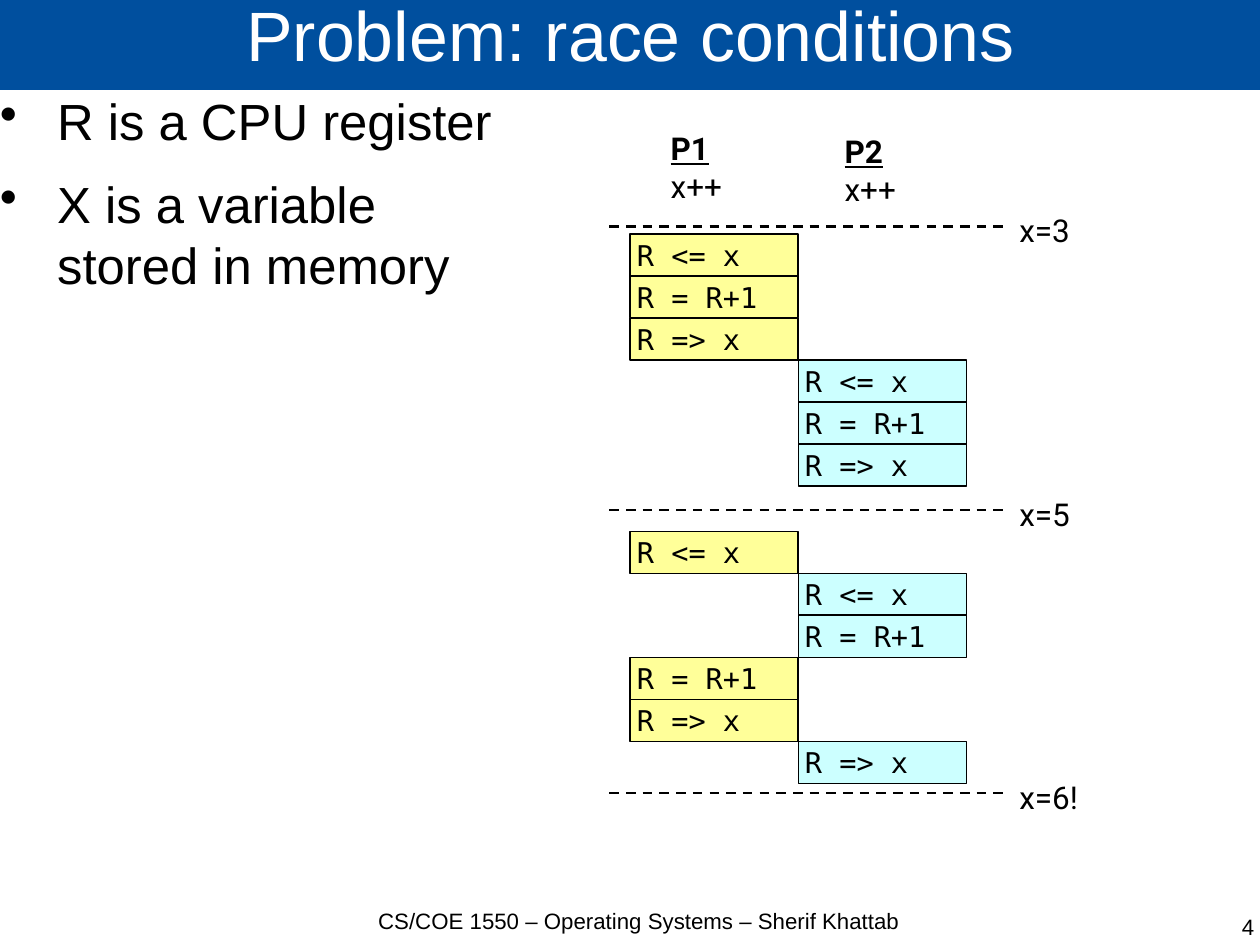
from dataclasses import dataclass

from lxml.etree import SubElement
from pptx import Presentation
from pptx.dml.color import RGBColor
from pptx.enum.dml import MSO_LINE
from pptx.enum.shapes import MSO_CONNECTOR, MSO_SHAPE
from pptx.enum.text import MSO_ANCHOR, PP_ALIGN
from pptx.oxml.ns import qn
from pptx.shapes.autoshape import Shape
from pptx.shapes.shapetree import SlideShapes
from pptx.util import Pt

BLACK = "000000"
LOAD, ADD, STORE = "R <= x", "R = R+1", "R => x"
STEP_WIDTH, STEP_HEIGHT = 105.84, 26.46
LINE_LEFT, LINE_RIGHT = 383.8, 635
LINE_TOP, LINE_GAP = 142.6, 178.55


@dataclass(frozen=True)
class Process:
    name: str
    left: float
    fill: str
    label_left: float
    label_top: float


@dataclass(frozen=True)
class Schedule:
    top: float
    steps: tuple[tuple[Process, str], ...]


P1 = Process("P1", 396.85, "FFFF99", 415.4, 77.8)
P2 = Process("P2", 396.85 + STEP_WIDTH, "CCFFFF", 524.9, 79.9)
SCHEDULES = (
    Schedule(147.4, ((P1, LOAD), (P1, ADD), (P1, STORE),
                     (P2, LOAD), (P2, ADD), (P2, STORE))),
    Schedule(334.6, ((P1, LOAD), (P2, LOAD), (P2, ADD),
                     (P1, ADD), (P1, STORE), (P2, STORE))),
)
VALUES = (("x=3", 47.5), ("x=5", 47.5), ("x=6!", 52.6))


def color(value: str) -> RGBColor:
    return RGBColor.from_string(value)


def add_rectangle(shapes: SlideShapes, left: float, top: float, width: float,
                  height: float, fill: str, line: str | None = None) -> Shape:
    box = shapes.add_shape(MSO_SHAPE.RECTANGLE, Pt(left), Pt(top), Pt(width), Pt(height))
    box.shadow.inherit = False
    box.fill.solid()
    box.fill.fore_color.rgb = color(fill)
    if line:
        box.line.color.rgb = color(line)
        box.line.width = Pt(0.75)
    else:
        box.line.fill.background()
    return box


def add_box(shapes: SlideShapes, left: float, top: float, width: float, height: float) -> Shape:
    return shapes.add_textbox(Pt(left), Pt(top), Pt(width), Pt(height))


def write(box: Shape, text: str, *, size: float, font: str = "Arial", ink: str = BLACK,
          align: PP_ALIGN = PP_ALIGN.LEFT, anchor: MSO_ANCHOR = MSO_ANCHOR.TOP,
          inset: tuple[float, float] = (0, 0), wrap: bool = True, bullet: str = "",
          heading: bool = False, spacing: float | None = None, after: float = 0) -> None:
    frame = box.text_frame
    frame.word_wrap = wrap
    frame.vertical_anchor = anchor
    frame.margin_left = frame.margin_right = Pt(inset[0])
    frame.margin_top = frame.margin_bottom = Pt(inset[1])
    for index, line in enumerate(text.split("\n")):
        para = frame.paragraphs[0] if index == 0 else frame.add_paragraph()
        para.alignment = align
        para.space_after = Pt(after)
        if spacing:
            para.line_spacing = spacing
        if bullet:
            properties = para._p.get_or_add_pPr()
            properties.set("marL", str(Pt(36)))
            properties.set("indent", str(-Pt(36)))
            bullet_color = SubElement(properties, qn("a:buClr"))
            SubElement(bullet_color, qn("a:srgbClr"), val=ink)
            SubElement(properties, qn("a:buChar"), char=bullet)
        span = para.add_run()
        span.text = line
        span.font.name = font
        span.font.size = Pt(size)
        span.font.color.rgb = color(ink)
        span.font.bold = span.font.underline = heading and index == 0


def add_label(shapes: SlideShapes, text: str, left: float, top: float,
              width: float, height: float, heading: bool = False) -> None:
    write(add_box(shapes, left, top, width, height), text, size=19.8, font="Roboto",
          inset=(7.2, 3.6), wrap=False, heading=heading)


def add_schedule(shapes: SlideShapes, schedule: Schedule) -> None:
    for row, (process, code) in enumerate(schedule.steps):
        box = add_rectangle(shapes, process.left, schedule.top + row * STEP_HEIGHT,
                            STEP_WIDTH, STEP_HEIGHT, process.fill, BLACK)
        write(box, code, size=18, font="DejaVu Sans Mono", anchor=MSO_ANCHOR.MIDDLE,
              inset=(4.3, 3.6), wrap=False)


def add_dashed_line(shapes: SlideShapes, top: float) -> None:
    line = shapes.add_connector(MSO_CONNECTOR.STRAIGHT, Pt(LINE_LEFT), Pt(top),
                                Pt(LINE_RIGHT), Pt(top))
    line.line.color.rgb = color(BLACK)
    line.line.width = Pt(1.5)
    line.line.dash_style = MSO_LINE.DASH
    SubElement(line._element.spPr, qn("a:effectLst"))


def main() -> None:
    deck = Presentation()
    deck.slide_width, deck.slide_height = Pt(793.6), Pt(595.3)
    page = deck.slides.add_slide(deck.slide_layouts[6])
    shapes = page.shapes

    write(add_rectangle(shapes, 0, -1.6, 794.9, 58.2, "004F9E"), "Problem: race conditions",
          size=44, ink="FFFFFF", align=PP_ALIGN.CENTER, anchor=MSO_ANCHOR.MIDDLE, spacing=0.69)
    write(add_box(shapes, 0, 56.4, 321.8, 517),
          "R is a CPU register\nX is a variable stored in memory",
          size=32, bullet="•", after=14.2)
    write(add_box(shapes, 221, 571.7, 362.9, 39.6),
          "CS/COE 1550 – Operating Systems – Sherif Khattab", size=14, align=PP_ALIGN.CENTER)
    write(add_box(shapes, 607.7, 575.3, 182.2, 39.6), "4", size=14, align=PP_ALIGN.RIGHT)

    for process in (P1, P2):
        add_label(shapes, f"{process.name}\nx++", process.label_left, process.label_top,
                  48.2, 55.4, heading=True)
    for schedule in SCHEDULES:
        add_schedule(shapes, schedule)
    for index, (value, width) in enumerate(VALUES):
        top = LINE_TOP + index * LINE_GAP
        add_dashed_line(shapes, top)
        add_label(shapes, value, LINE_RIGHT, top - 13, width, 31)

    deck.save("out.pptx")


if __name__ == "__main__":
    main()
